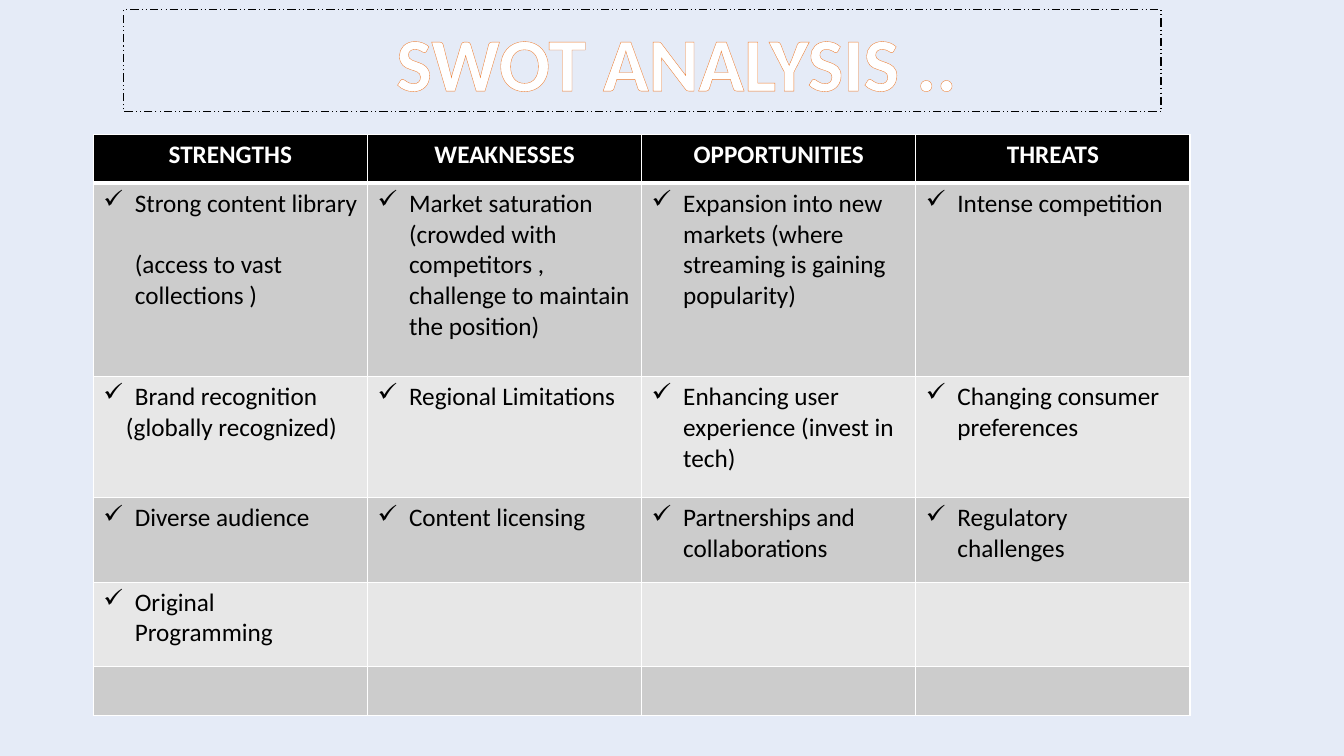
"""Build a SWOT analysis slide with a framed title and a four-column table."""
import lxml.etree
import pptx
import pptx.dml.color
import pptx.enum.dml
import pptx.enum.shapes
import pptx.enum.text
import pptx.oxml
import pptx.oxml.ns
import pptx.util

Cm = pptx.util.Cm
Pt = pptx.util.Pt


def paint(color_format, hex_color):
    color_format.rgb = pptx.dml.color.RGBColor.from_string(hex_color)


def make_line(tag, hex_color, width):
    return pptx.oxml.parse_xml(
        f'<a:{tag} {pptx.oxml.ns.nsdecls("a")} w="{int(Pt(width))}"><a:solidFill>'
        f'<a:srgbClr val="{hex_color}"/></a:solidFill></a:{tag}>')


headings = ["STRENGTHS", "WEAKNESSES", "OPPORTUNITIES", "THREATS"]
points = [
    ["Strong content library \v(access to vast collections )",
     "Market saturation (crowded with competitors , challenge to maintain the position)",
     "Expansion into new markets (where streaming is gaining popularity)",
     "Intense competition"],
    ["Brand recognition\n(globally recognized)", "Regional Limitations",
     "Enhancing user experience (invest in tech)", "Changing consumer preferences"],
    ["Diverse audience", "Content licensing",
     "Partnerships and collaborations", "Regulatory challenges"],
    ["Original Programming", "", "", ""],
    ["", "", "", ""],
]
row_heights = [1.23, 4.87, 3.05, 2.13, 2.13, 1.23]
column_width = 6.91
bullet_indent = Pt(22.5)

presentation = pptx.Presentation()
presentation.slide_width = Cm(33.87)
presentation.slide_height = Cm(19.05)
slide = presentation.slides.add_slide(presentation.slide_layouts[6])
slide.background.fill.solid()
paint(slide.background.fill.fore_color, "E5EBF7")

table = slide.shapes.add_table(
    len(row_heights), len(headings), Cm(2.35), Cm(3.39),
    Cm(column_width * len(headings)), Cm(sum(row_heights))).table
for column in table.columns:
    column.width = Cm(column_width)
for row, height in zip(table.rows, row_heights):
    row.height = Cm(height)

for row_index, texts in enumerate([headings] + points):
    is_header = row_index == 0
    row_fill = "000000" if is_header else ("E7E7E7", "CCCCCC")[row_index % 2]
    for column_index, text in enumerate(texts):
        cell = table.cell(row_index, column_index)
        cell.fill.solid()
        paint(cell.fill.fore_color, row_fill)
        borders = {"lnL": 1, "lnR": 1, "lnT": 3 if row_index == 1 else 1,
                   "lnB": 3 if is_header else 1}
        cell_properties = cell._tc.get_or_add_tcPr()
        for position, (side, width) in enumerate(borders.items()):
            cell_properties.insert(position, make_line(side, "FFFFFF", width))
        cell.text_frame.text = text
        for paragraph_index, paragraph in enumerate(cell.text_frame.paragraphs):
            if is_header:
                paragraph.alignment = pptx.enum.text.PP_ALIGN.CENTER
            elif paragraph_index > 0:
                paragraph._p.get_or_add_pPr().set("marL", str(int(Cm(0.57))))
            elif text:
                properties = paragraph._p.get_or_add_pPr()
                properties.set("marL", str(int(bullet_indent)))
                properties.set("indent", str(-int(bullet_indent)))
                bullet = lxml.etree.SubElement(properties, pptx.oxml.ns.qn("a:buChar"))
                bullet.set("char", "✓")
            paragraph.font.name = "Calibri"
            paragraph.font.size = Pt(18)
            paragraph.font.bold = is_header
            paint(paragraph.font.color, "FFFFFF" if is_header else "000000")

title = slide.shapes.add_shape(
    pptx.enum.shapes.MSO_SHAPE.RECTANGLE, Cm(3.12), Cm(0.25), Cm(26.14), Cm(2.57))
title.shadow.inherit = False
title.fill.background()
paint(title.line.color, "000000")
title.line.width = Pt(0.75)
title.line.dash_style = pptx.enum.dml.MSO_LINE.DASH_DOT_DOT
title.text_frame.word_wrap = True
title.text_frame.auto_size = pptx.enum.text.MSO_AUTO_SIZE.SHAPE_TO_FIT_TEXT
title.text_frame.margin_left = Cm(1.97)
title_paragraph = title.text_frame.paragraphs[0]
title_paragraph.alignment = pptx.enum.text.PP_ALIGN.CENTER
title_run = title_paragraph.add_run()
title_run.text = "SWOT ANALYSIS .."
title_run.font.name = "Calibri"
title_run.font.size = Pt(54)
title_run.font.bold = True
paint(title_run.font.color, "FFFFFF")
title_run._r.get_or_add_rPr().insert(0, make_line("ln", "ED7D31", 0.52))

presentation.save("out.pptx")
